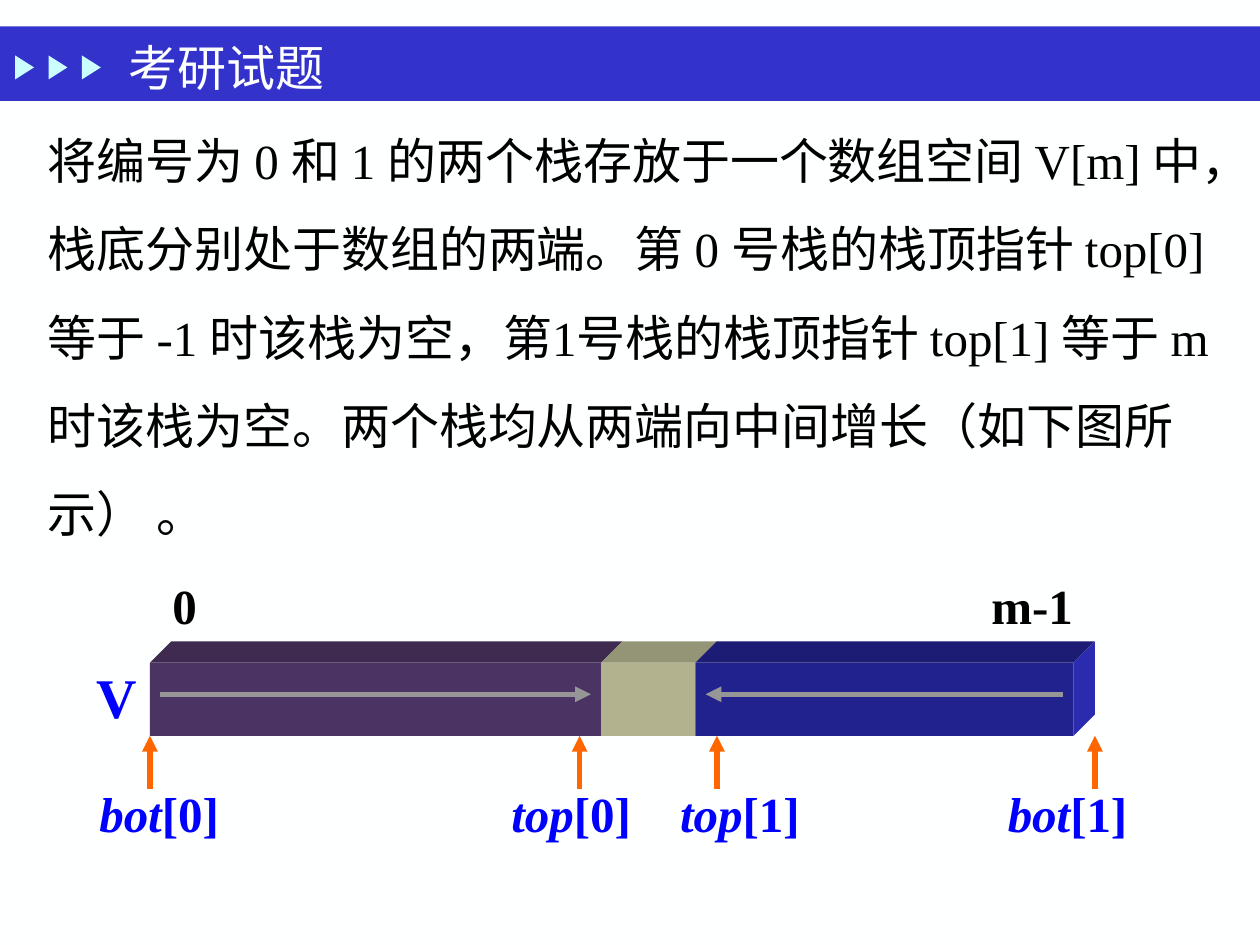
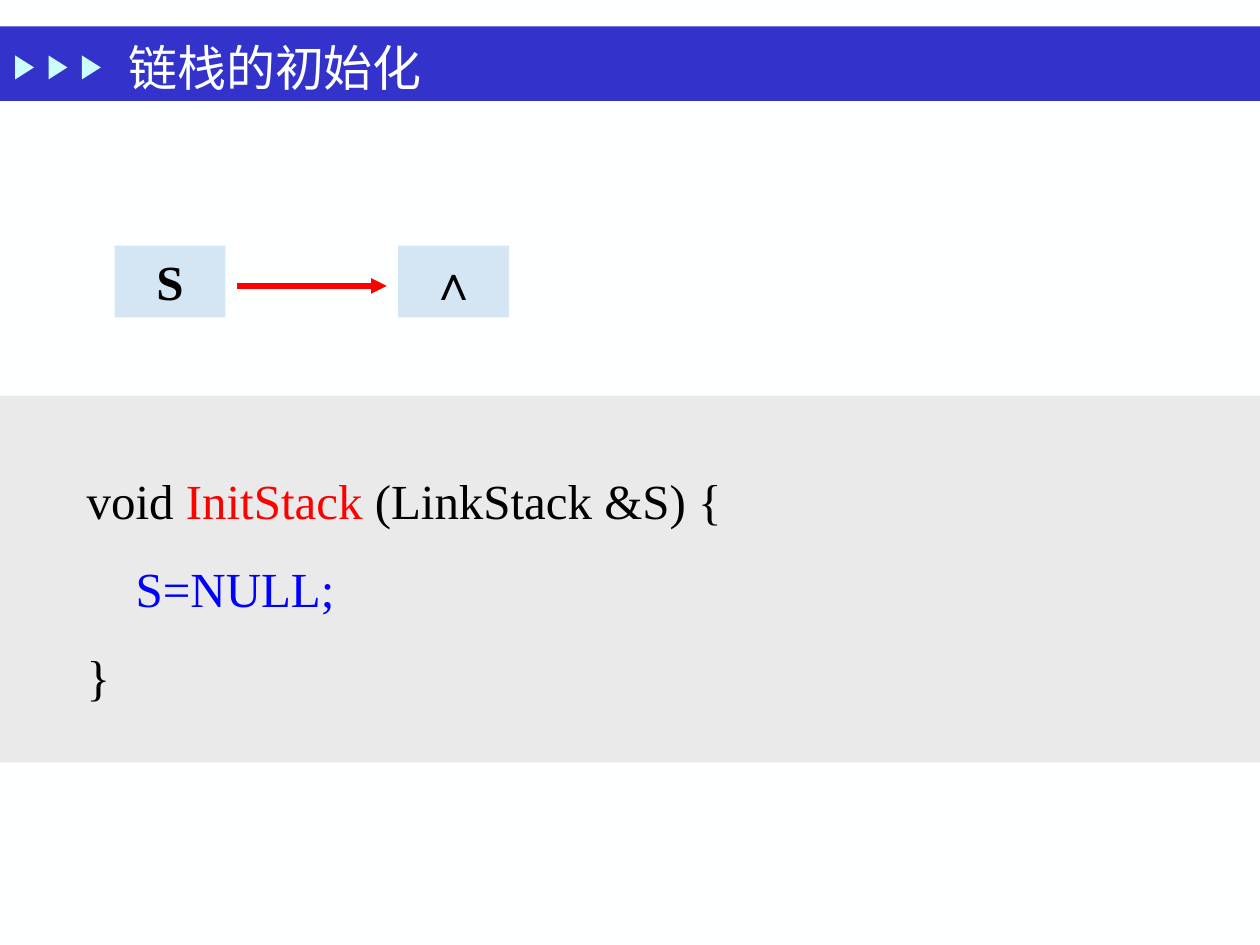
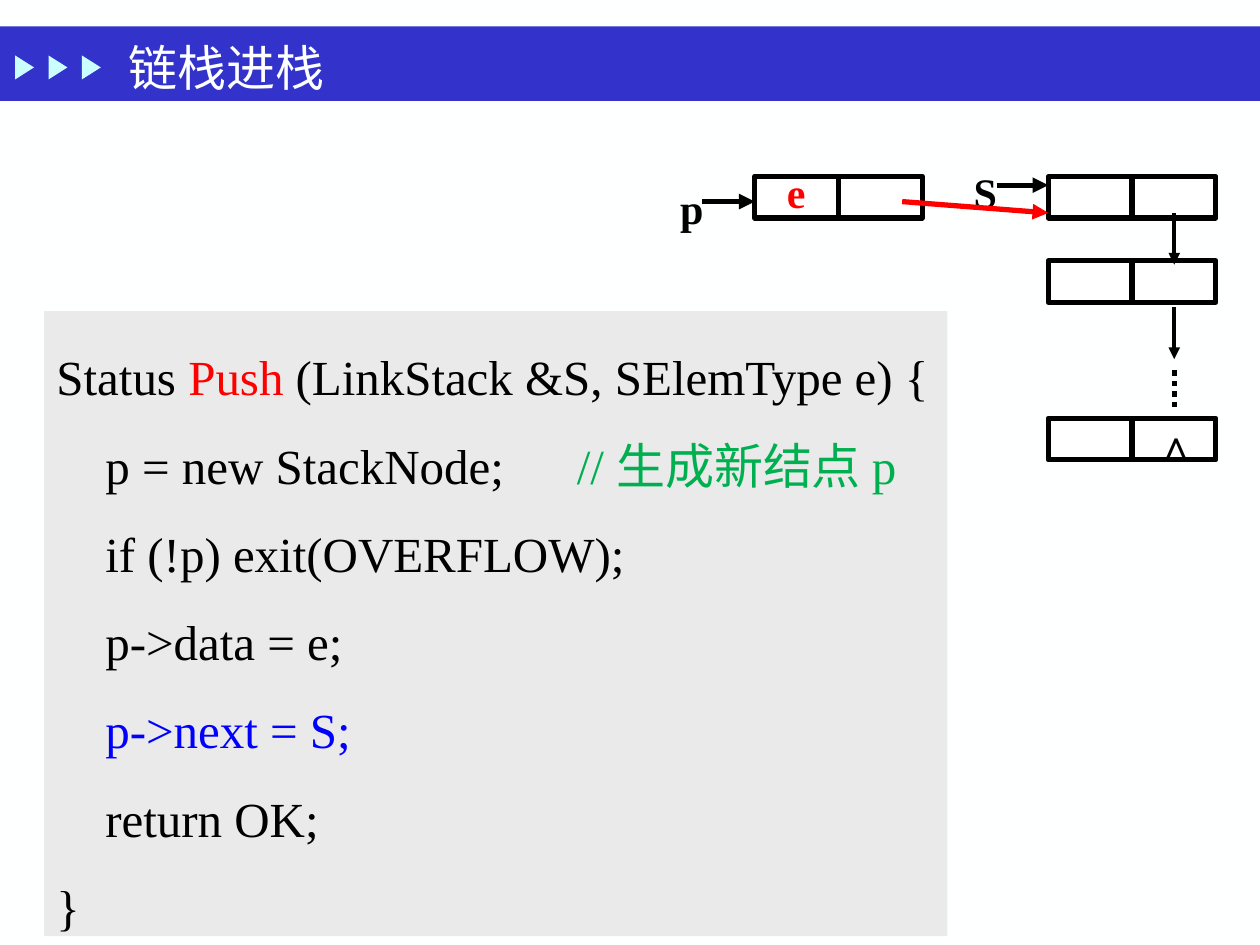
from lxml.etree import SubElement
from pptx import Presentation
from pptx.dml.color import RGBColor
from pptx.enum.dml import MSO_LINE
from pptx.enum.shapes import MSO_CONNECTOR, MSO_SHAPE
from pptx.enum.text import MSO_ANCHOR, PP_ALIGN
from pptx.oxml.ns import qn
from pptx.util import Inches, Pt

FONT = "Times New Roman"
WHITE, BLACK, RED, BLUE, GREEN = "FEFFFF", "000000", "FF0000", "0000FF", "00B050"
BAND, MARKER, PANEL, CELL, ORANGE, GRAY = "3333CC", "CBFFFF", "EAEAEA", "D4E6F4", "FF6600", "969696"
LABEL = {"size": Pt(28), "bold": True}
NODE_LABEL = {"size": Pt(24), "bold": True}
CENTER = {"alignment": PP_ALIGN.CENTER}
SPACED = {"line_spacing": 1.5}


def add_box(page, place, lines=(), style=None, layout=None, fill=None, border=None,
            preset=MSO_SHAPE.RECTANGLE, anchor=MSO_ANCHOR.TOP):
    lengths = [Inches(value) for value in place]
    if fill:
        box = page.shapes.add_shape(preset, *lengths)
        box.shadow.inherit = False
        box.fill.solid()
        box.fill.fore_color.rgb = RGBColor.from_string(fill)
        if border:
            box.line.color.rgb = RGBColor.from_string(border)
            box.line.width = Pt(3)
        else:
            box.line.fill.background()
    else:
        box = page.shapes.add_textbox(*lengths)
    frame = box.text_frame
    frame.word_wrap = True
    frame.vertical_anchor = anchor
    for index, spans in enumerate(lines):
        para = frame.paragraphs[0] if index == 0 else frame.add_paragraph()
        for name, value in ({"alignment": PP_ALIGN.LEFT} | (layout or {})).items():
            setattr(para, name, value)
        for text, color, *extra in spans:
            span = para.add_run()
            span.text = text
            span.font.color.rgb = RGBColor.from_string(color)
            formats = {"name": FONT, "size": Pt(28)} | (style or {})
            for part in extra:
                formats = formats | part
            for name, value in formats.items():
                setattr(span.font, name, value)
    return box


def add_line(page, start, end, color=BLACK, width=3, arrow=True, dash=None):
    points = [Inches(value) for value in (*start, *end)]
    line = page.shapes.add_connector(MSO_CONNECTOR.STRAIGHT, *points)
    line.line.color.rgb = RGBColor.from_string(color)
    line.line.width = Pt(width)
    if dash:
        line.line.dash_style = dash
    properties = line._element.spPr
    if arrow:
        SubElement(properties.find(qn("a:ln")), qn("a:tailEnd"), type="triangle")
    SubElement(properties, qn("a:effectLst"))


deck = Presentation()
deck.slide_width, deck.slide_height = Inches(10), Inches(7.5)

pages = []
for title in ["考研试题", "链栈的初始化", "链栈进栈"]:
    page = deck.slides.add_slide(deck.slide_layouts[6])
    page.background.fill.solid()
    page.background.fill.fore_color.rgb = RGBColor.from_string(WHITE)
    add_box(page, (0, 0.21, 10, 0.59), fill=BAND)
    for index in range(3):
        marker = add_box(page, (0.1 + 0.265 * index, 0.46, 0.19, 0.15), fill=MARKER,
                         preset=MSO_SHAPE.ISOSCELES_TRIANGLE)
        marker.rotation = 90
    add_box(page, (0.92, 0.28, 7, 0.5), [[(title, WHITE)]], anchor=MSO_ANCHOR.MIDDLE)
    pages.append(page)
exam_page, init_page, push_page = pages

question = ("将编号为 0 和 1 的两个栈存放于一个数组空间 V[m] 中，栈底分别处于数组的两端。"
            "第 0 号栈的栈顶指针 top[0] 等于 -1 时该栈为空，第1号栈的栈顶指针 top[1] 等于 m 时该栈为空。"
            "两个栈均从两端向中间增长（如下图所示） 。")
add_box(exam_page, (0.28, 0.78, 9.45, 3.55), [[(question, BLACK)]], layout=SPACED,
        anchor=MSO_ANCHOR.MIDDLE)

bar_top, bar_height, depth = 5.26, 0.58, 0.17
bar_bottom, bar_right = bar_top + bar_height, 8.52
faces = []
for left, right, front, top in [(1.19, 4.77, "4B3464", "3F2B50"),
                                (4.77, 5.52, "B2B28E", "949477"),
                                (5.52, bar_right, "22228F", "1C1C74")]:
    add_box(exam_page, (left, bar_top, right - left, bar_height), fill=front)
    faces.append((top, [(left, bar_top), (left + depth, bar_top - depth),
                        (right + depth, bar_top - depth), (right, bar_top)]))
faces.append(("2B2BB0", [(bar_right, bar_top), (bar_right + depth, bar_top - depth),
                         (bar_right + depth, bar_bottom - depth), (bar_right, bar_bottom)]))
for color, corners in faces:
    points = [(Inches(x), Inches(y)) for x, y in corners]
    builder = exam_page.shapes.build_freeform(*points[0])
    builder.add_line_segments(points[1:])
    face = builder.convert_to_shape()
    face.shadow.inherit = False
    face.fill.solid()
    face.fill.fore_color.rgb = RGBColor.from_string(color)
    face.line.fill.background()

for start, end in [(1.27, 4.69), (8.44, 5.6)]:
    add_line(exam_page, (start, 5.51), (end, 5.51), GRAY)
for pointer, index, left, tip in [("bot", 0, 0.69, 1.19), ("top", 0, 3.96, 4.6),
                                  ("top", 1, 5.3, 5.69), ("bot", 1, 7.9, 8.69)]:
    add_line(exam_page, (tip, 6.26), (tip, bar_bottom), ORANGE)
    add_box(exam_page, (left, 6.17, 1.3, 0.57),
            [[(pointer, BLUE, {"italic": True}), (f"[{index}]", BLUE)]], LABEL)
for text, left in [("0", 1.27), ("m-1", 7.77)]:
    add_box(exam_page, (left, 4.52, 1, 0.57), [[(text, BLACK)]], LABEL)
add_box(exam_page, (0.67, 5.21, 0.6, 0.63), [[("V", BLUE)]], {"size": Pt(32), "bold": True})

add_box(init_page, (0, 3.14, 10, 2.91), fill=PANEL)
init_code = [
    [("void ", BLACK), ("InitStack ", RED), ("(LinkStack &S) {", BLACK)],
    [("    S=NULL;", BLUE)],
    [("}", BLACK)],
]
add_box(init_page, (0.59, 3.45, 8.67, 2.27), init_code, layout=SPACED)
for text, left in [("S", 0.91), ("∧", 3.16)]:
    add_box(init_page, (left, 1.95, 0.88, 0.57), [[(text, BLACK)]], LABEL, CENTER, CELL)
add_line(init_page, (1.88, 2.27), (3.07, 2.27), RED)

node_width, node_height = 1.33, 0.33
for left, top in [(5.99, 1.4), (8.32, 1.4), (8.32, 2.07), (8.32, 3.32)]:
    middle = left + node_width / 2
    add_box(push_page, (left, top, node_width, node_height), fill="FFFFFF", border=BLACK)
    add_line(push_page, (middle, top), (middle, top + node_height), arrow=False)
add_line(push_page, (5.57, 1.6), (5.99, 1.6))
add_line(push_page, (7.91, 1.47), (8.32, 1.47))
for top in [1.69, 2.44]:
    add_line(push_page, (9.32, top), (9.32, top + 0.41), width=2.25)
add_line(push_page, (9.32, 2.94), (9.32, 3.27), arrow=False, dash=MSO_LINE.ROUND_DOT)
for text, color, left, top in [("p", BLACK, 5.24, 1.4), ("∧", BLACK, 9.07, 3.27),
                               ("S", BLACK, 7.57, 1.27), ("e", RED, 6.07, 1.27)]:
    add_box(push_page, (left, top, 0.5, 0.5), [[(text, color)]], NODE_LABEL, CENTER)
add_line(push_page, (7.16, 1.6), (8.32, 1.69), RED)

push_code = [
    [("Status ", BLACK), ("Push ", RED), ("(LinkStack &S, SElemType e) {", BLACK)],
    [("    p = new StackNode;\t", BLACK), ("// 生成新结点 p", GREEN)],
    [("    if (!p) exit(OVERFLOW);", BLACK)],
    [("    p->data = e;", BLACK)],
    [("    p->next = S;", BLUE)],
    [("    return OK;", BLACK)],
    [("}", BLACK)],
]
code_box = add_box(push_page, (0.35, 2.47, 7.17, 4.96), push_code, layout=SPACED, fill=PANEL)
comment_line = code_box.text_frame.paragraphs[1]
tabs = SubElement(comment_line._p.get_or_add_pPr(), qn("a:tabLst"))
SubElement(tabs, qn("a:tab"), pos=str(Inches(4.13)), algn="l")

deck.save("out.pptx")
